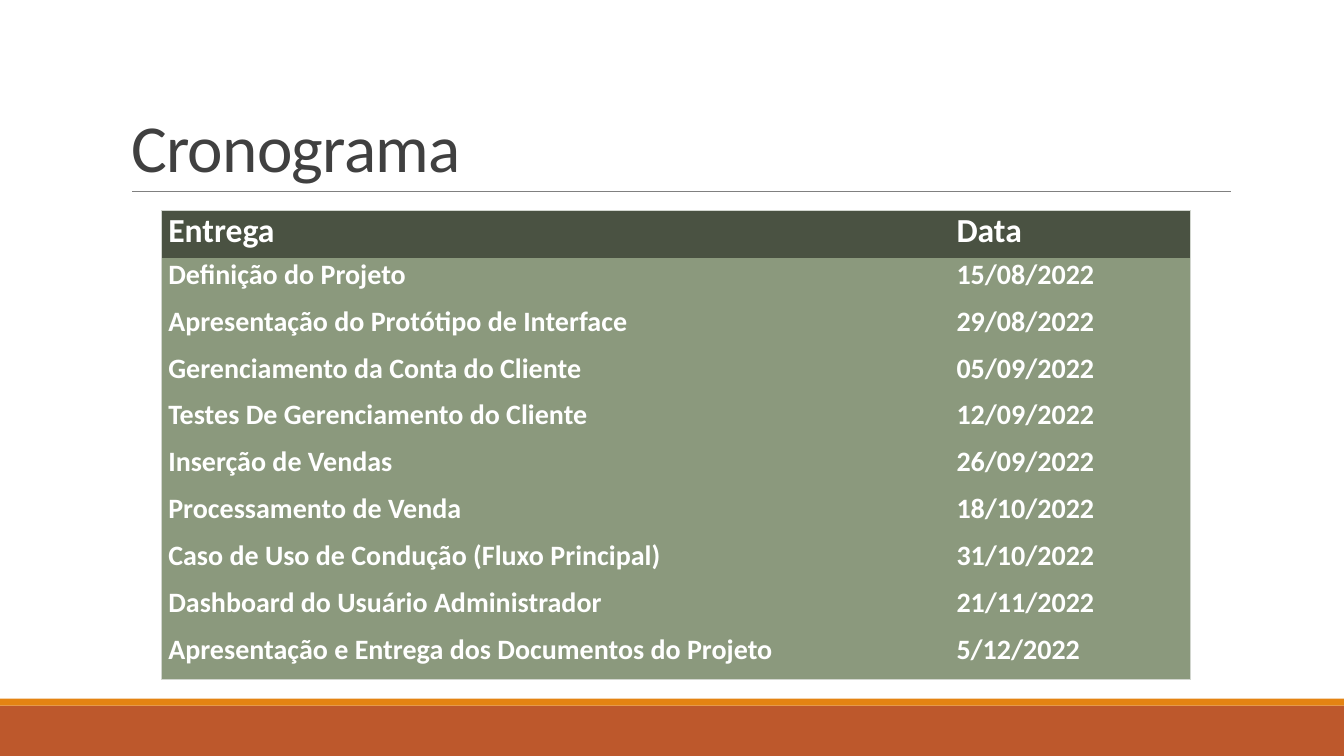
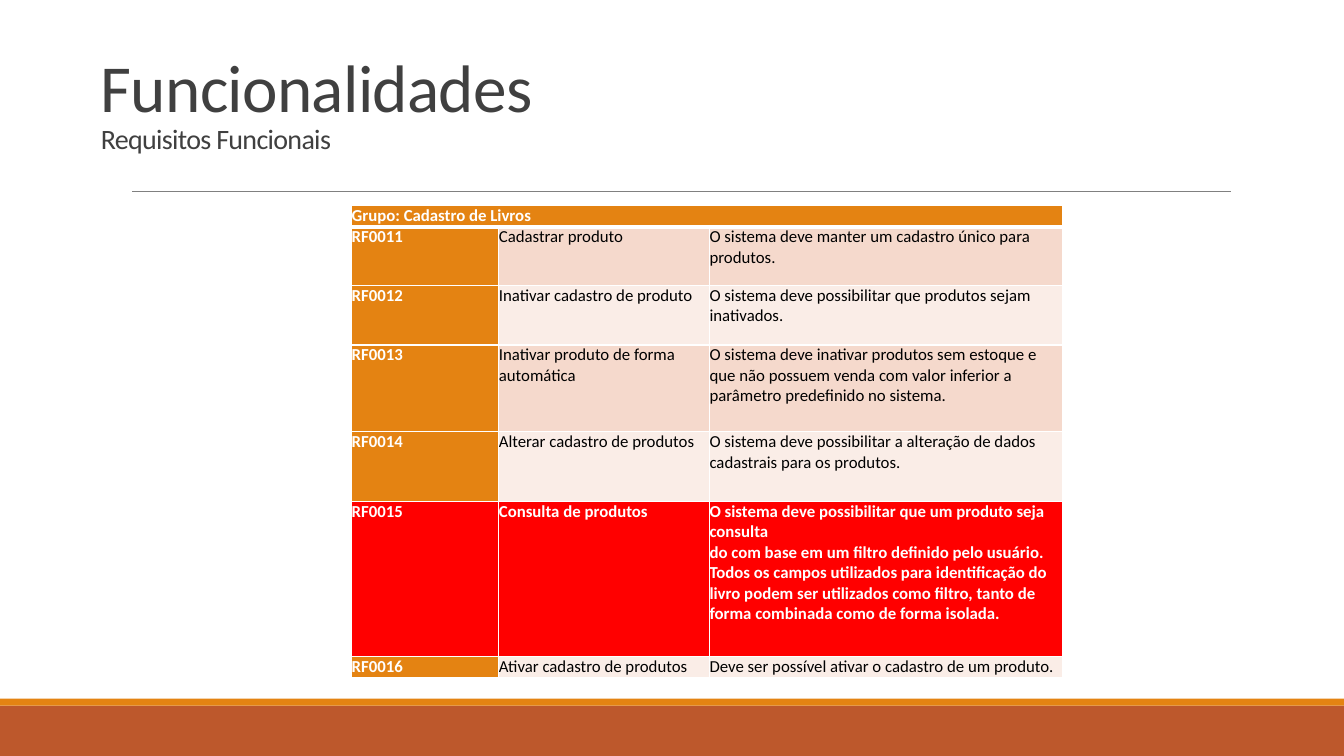
from lxml import etree
from pptx import Presentation
from pptx.dml.color import RGBColor
from pptx.enum.shapes import MSO_CONNECTOR, MSO_SHAPE
from pptx.enum.text import MSO_ANCHOR, MSO_AUTO_SIZE, PP_ALIGN
from pptx.oxml.ns import qn
from pptx.util import Inches, Pt

RECTANGLE = MSO_SHAPE.RECTANGLE
STRAIGHT = MSO_CONNECTOR.STRAIGHT
BOTTOM, TOP = MSO_ANCHOR.BOTTOM, MSO_ANCHOR.TOP
LEFT = PP_ALIGN.LEFT
NO_FIT = MSO_AUTO_SIZE.NONE

WIDTH, HEIGHT = Inches(13.333), Inches(7.5)
FONT = "Calibri"
PLAIN_TABLE = "{2D5ABB26-0587-4C30-8999-92F81FD0307C}"
COLORS = {
    "band": "BD582C", "accent": "E48312", "rule": "808080", "title": "404040",
    "white": "FFFFFF", "black": "000000", "alert": "FF0000",
    "head": "4A5242", "body": "8B997D", "edge": "D2D6CF",
    "odd": "F5D9CC", "even": "FAEDE7",
}

SCHEDULE = [
    ("Entrega", "Data"),
    ("Definição do Projeto", "15/08/2022"),
    ("Apresentação do Protótipo de Interface", "29/08/2022"),
    ("Gerenciamento da Conta do Cliente", "05/09/2022"),
    ("Testes De Gerenciamento do Cliente", "12/09/2022"),
    ("Inserção de Vendas", "26/09/2022"),
    ("Processamento de Venda", "18/10/2022"),
    ("Caso de Uso de Condução (Fluxo Principal)", "31/10/2022"),
    ("Dashboard do Usuário Administrador", "21/11/2022"),
    ("Apresentação e Entrega dos Documentos do Projeto", "5/12/2022"),
]
REQUIREMENTS = [
    ("Grupo: Cadastro de Livros", "", ""),
    ("RF0011", "Cadastrar produto",
     "O sistema deve manter um cadastro único para produtos."),
    ("RF0012", "Inativar cadastro de produto",
     "O sistema deve possibilitar que produtos sejam inativados."),
    ("RF0013", "Inativar produto de forma automática",
     "O sistema deve inativar produtos sem estoque e que não possuem venda "
     "com valor inferior a parâmetro predefinido no sistema."),
    ("RF0014", "Alterar cadastro de produtos",
     "O sistema deve possibilitar a alteração de dados cadastrais para os produtos."),
    ("RF0015", "Consulta de produtos",
     "O sistema deve possibilitar que um produto seja consulta\n"
     "do com base em um filtro definido pelo usuário. Todos os campos utilizados "
     "para identificação do livro podem ser utilizados como filtro, tanto de "
     "forma combinada como de forma isolada."),
    ("RF0016", "Ativar cadastro de produtos",
     "Deve ser possível ativar o cadastro de um produto."),
]
ALERT_ROW = 5


def rgb(name):
    """Return the named colour."""
    return RGBColor.from_string(COLORS[name])


def place(box):
    """Turn a box in percent of the slide into lengths."""
    left, top, width, height = box
    return (int(WIDTH * left / 100), int(HEIGHT * top / 100),
            int(WIDTH * width / 100), int(HEIGHT * height / 100))


def write(para, text, size=12, color="black", bold=False, spacing=0):
    """Add a formatted run to a paragraph."""
    span = para.add_run()
    span.text = text
    font = span.font
    font.name, font.size, font.bold = FONT, Pt(size), bold
    font.color.rgb = rgb(color)
    if spacing:
        font._element.set("spc", str(int(spacing * 100)))


def add_band(page, box, color):
    """Draw a plain filled band."""
    band = page.shapes.add_shape(RECTANGLE, *place(box))
    band.shadow.inherit = False
    band.fill.solid()
    band.fill.fore_color.rgb = rgb(color)
    band.line.fill.background()


def add_frame(page):
    """Draw the bottom bands and the rule below the title."""
    add_band(page, (0, 93.33, 100, 6.67), "band")
    add_band(page, (0, 92.4, 100, 0.93), "accent")
    left, top, width, _ = place((9.83, 25.33, 81.75, 0))
    rule = page.shapes.add_connector(STRAIGHT, left, top, left + width, top)
    rule.line.color.rgb = rgb("rule")
    rule.line.width = Pt(0.5)
    etree.SubElement(rule._element.spPr, qn("a:effectLst"))


def add_title(page, box, title, subtitle=None):
    """Place the title with an optional smaller second line."""
    holder = page.shapes.title
    holder.left, holder.top, holder.width, holder.height = place(box)
    frame = holder.text_frame
    frame.word_wrap, frame.auto_size = True, NO_FIT
    frame.vertical_anchor = BOTTOM
    para = frame.paragraphs[0]
    para.alignment, para.line_spacing = LEFT, 0.85
    write(para, title, size=48, color="title", spacing=-0.5)
    if subtitle:
        para.add_line_break()
        write(para, subtitle, size=20, color="title", spacing=-0.5)


def add_page(deck, box, title, subtitle=None):
    """Start a slide with its title and shared frame."""
    page = deck.slides.add_slide(deck.slide_layouts[5])
    add_title(page, box, title, subtitle)
    add_frame(page)
    return page


def add_grid(page, box, columns, rows):
    """Add an unstyled table whose columns and rows share the box by weight."""
    left, top, width, height = place(box)
    holder = page.shapes.add_table(len(rows), len(columns), left, top, width, height)
    next(holder._element.iter(qn("a:tableStyleId"))).text = PLAIN_TABLE
    table = holder.table
    table.horz_banding = False
    for column, weight in zip(table.columns, columns):
        column.width = int(width * weight / sum(columns))
    for row, weight in zip(table.rows, rows):
        row.height = int(height * weight / sum(rows))
    return table


def set_borders(cell, color, widths):
    """Draw the cell sides given as a mapping of side to width in points."""
    properties = cell._tc.get_or_add_tcPr()
    for side in "LRTB":
        if side in widths:
            line = etree.SubElement(properties, qn(f"a:ln{side}"), w=str(Pt(widths[side])))
            fill = etree.SubElement(line, qn("a:solidFill"))
            etree.SubElement(fill, qn("a:srgbClr"), val=COLORS[color])


def fill_cell(cell, text, fill, inset=0, **style):
    """Fill a cell and write one paragraph for each line of text."""
    cell.fill.solid()
    cell.fill.fore_color.rgb = rgb(fill)
    cell.margin_left = cell.margin_right = Inches(inset)
    cell.margin_top = cell.margin_bottom = 0
    cell.vertical_anchor = TOP
    frame = cell.text_frame
    for index, line in enumerate(text.split("\n")):
        para = frame.add_paragraph() if index else frame.paragraphs[0]
        write(para, line, **style)


def add_schedule(page, box):
    """Build the delivery table with an outer border only."""
    table = add_grid(page, box, (7.82, 2.39), [1] * len(SCHEDULE))
    last = len(SCHEDULE) - 1
    for row, entry in enumerate(SCHEDULE):
        for column, text in enumerate(entry):
            cell = table.cell(row, column)
            sides = {"R" if column else "L": 1}
            if row in (0, last):
                sides["B" if row else "T"] = 1
            set_borders(cell, "edge", sides)
            fill_cell(cell, text, "body" if row else "head", inset=0.07,
                      size=20 if row else 24, color="white", bold=True)


def add_requirements(page, box):
    """Build the requirement table with a merged heading and one alert row."""
    table = add_grid(page, box, (1.46, 2.09, 3.5),
                     (0.21, 0.58, 0.59, 0.86, 0.69, 1.54, 0.21))
    table.cell(0, 0).merge(table.cell(0, 2))
    for row, entry in enumerate(REQUIREMENTS):
        for column, text in enumerate(entry):
            cell = table.cell(row, column)
            set_borders(cell, "white", {"L": 1, "R": 1, "T": 3 if row == 1 else 1,
                                        "B": 1 if row else 3})
            strong = row in (0, ALERT_ROW) or column == 0
            if row == ALERT_ROW:
                fill = "alert"
            elif strong:
                fill = "accent"
            else:
                fill = "odd" if row % 2 else "even"
            if cell.is_spanned:
                continue
            fill_cell(cell, text, fill, color="white" if strong else "black", bold=strong)


def main():
    """Build and save the deck."""
    deck = Presentation()
    deck.slide_width, deck.slide_height = WIDTH, HEIGHT
    page = add_page(deck, (9, 4.13, 82.5, 21.2), "Cronograma")
    add_schedule(page, (12, 27.87, 76.57, 62))
    page = add_page(deck, (6.75, 0, 82.5, 21.2), "Funcionalidades", "Requisitos Funcionais")
    add_requirements(page, (26.17, 27.2, 52.88, 62.5))
    deck.save("out.pptx")


if __name__ == "__main__":
    main()
